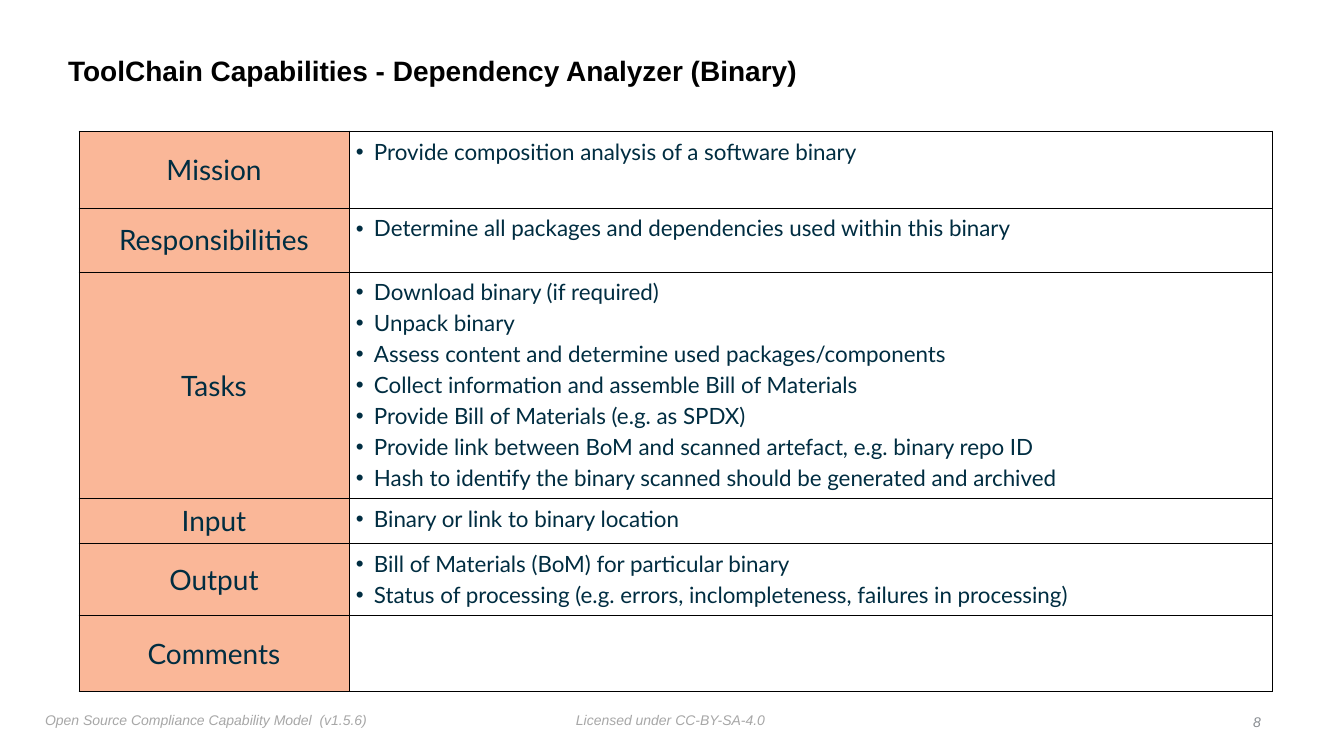
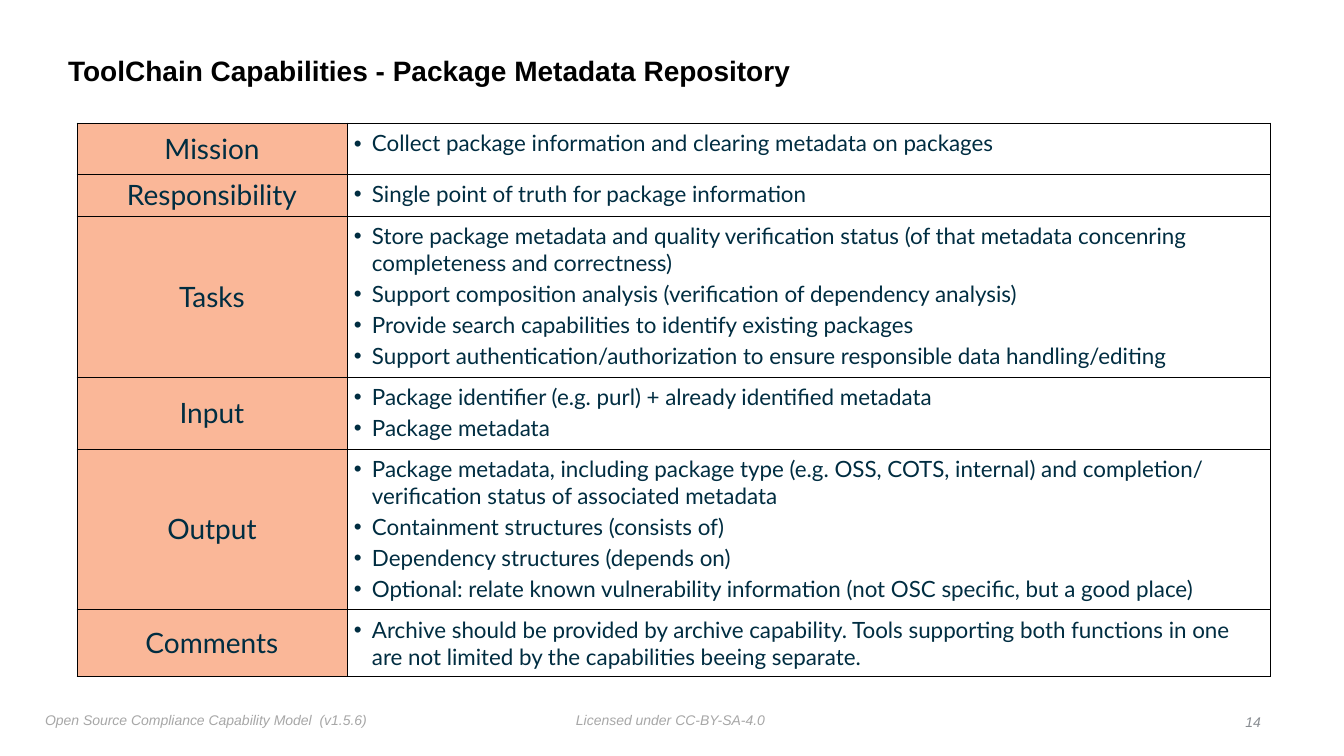
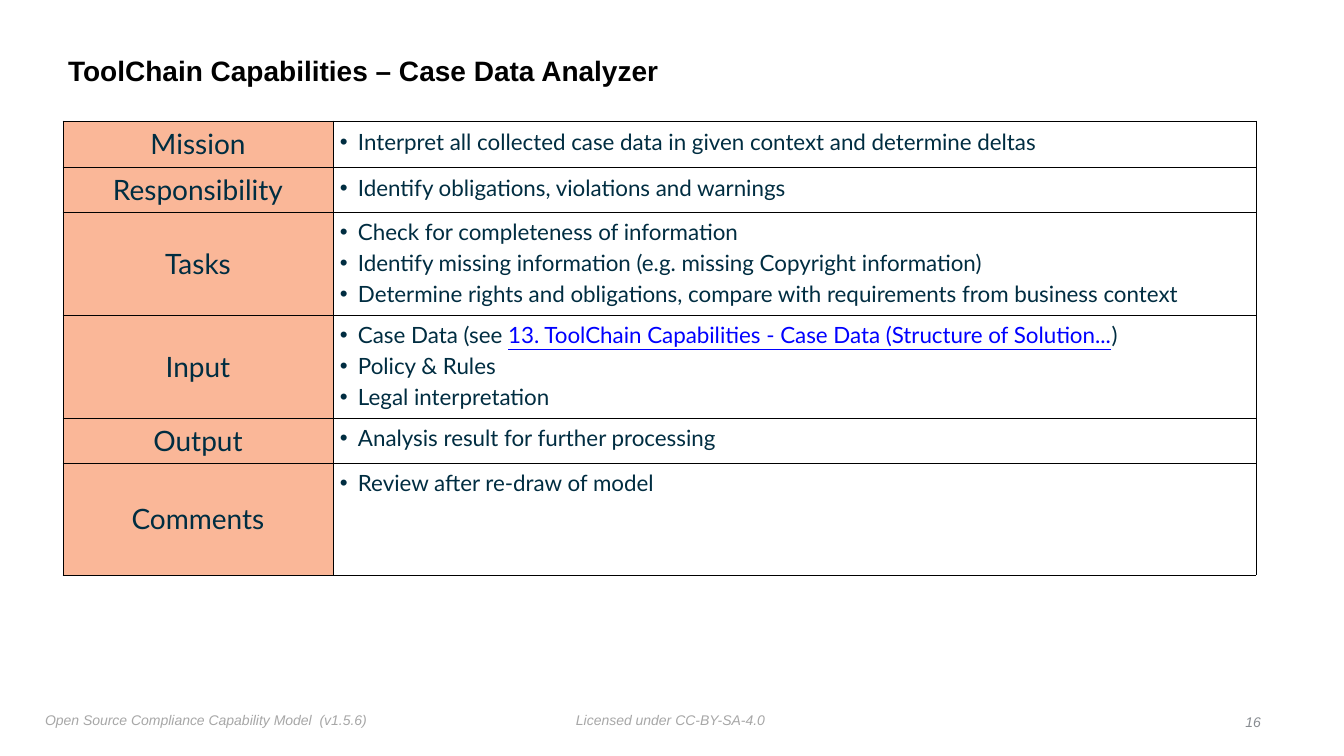
"""Build three capability slides, each a titled two-column table with a footer."""
from lxml import etree
from pptx import Presentation
from pptx.dml.color import RGBColor
from pptx.enum.text import MSO_ANCHOR, PP_ALIGN
from pptx.oxml.ns import qn
from pptx.util import Emu, Pt

PX = 914400 / 100.8
COLORS = {"title": "000000", "text": "002D41", "link": "0000FF", "label": "FAB798",
          "border": "000000", "footer": "A7A7A7", "number": "888C91"}
COLUMNS = (270, 923)
FOOTERS = [(571, 201, "Licensed under CC-BY-SA-4.0"),
           (40, 335, "Open Source Compliance Capability Model  (v1.5.6)")]

SLIDES = [
    ("ToolChain Capabilities - Dependency Analyzer (Binary)", "8", (79, 131), [
        ("Mission", 77, ["Provide composition analysis of a software binary"]),
        ("Responsibilities", 64, ["Determine all packages and dependencies used within this binary"]),
        ("Tasks", 226, [
            "Download binary (if required)",
            "Unpack binary",
            "Assess content and determine used packages/components",
            "Collect information and assemble Bill of Materials",
            "Provide Bill of Materials (e.g. as SPDX)",
            "Provide link between BoM and scanned artefact, e.g. binary repo ID",
            "Hash to identify the binary scanned should be generated and archived"]),
        ("Input", 45, ["Binary or link to binary location"]),
        ("Output", 72, [
            "Bill of Materials (BoM) for particular binary",
            "Status of processing (e.g. errors, inclompleteness, failures in processing)"]),
        ("Comments", 76, []),
    ]),
    ("ToolChain Capabilities - Package Metadata Repository", "14", (77, 123), [
        ("Mission", 51, ["Collect package information and clearing metadata on packages"]),
        ("Responsibility", 42, ["Single point of truth for package information"]),
        ("Tasks", 161, [
            "Store package metadata and quality verification status "
            "(of that metadata concenring completeness and correctness)",
            "Support composition analysis (verification of dependency analysis)",
            "Provide search capabilities to identify existing packages",
            "Support authentication/authorization to ensure responsible data handling/editing"]),
        ("Input", 72, [
            "Package identifier (e.g. purl) + already identified metadata",
            "Package metadata"]),
        ("Output", 160, [
            "Package metadata, including package type (e.g. OSS, COTS, internal) "
            "and completion/ verification status of associated metadata",
            "Containment structures (consists of)",
            "Dependency structures (depends on)",
            "Optional: relate known vulnerability information (not OSC specific, but a good place)"]),
        ("Comments", 67, [
            "Archive should be provided by archive capability. Tools supporting both "
            "functions in one are not limited by the capabilities beeing separate."]),
    ]),
    ("ToolChain Capabilities – Case Data Analyzer", "16", (63, 121), [
        ("Mission", 46, ["Interpret all collected case data in given context and determine deltas"]),
        ("Responsibility", 45, ["Identify obligations, violations and warnings"]),
        ("Tasks", 103, [
            "Check for completeness of information",
            "Identify missing information (e.g. missing Copyright information)",
            "Determine rights and obligations, compare with requirements from business context"]),
        ("Input", 103, [
            "Case Data (see |13. ToolChain Capabilities - Case Data (Structure of Solution...|)",
            "Policy & Rules",
            "Legal interpretation"]),
        ("Output", 45, ["Analysis result for further processing"]),
        ("Comments", 112, ["Review after re-draw of model"]),
    ]),
]


def px(*lengths):
    return [Emu(round(n * PX)) for n in lengths]


def add_run(p, text, size, color, font="Lato", **style):
    r = p.add_run()
    r.text = text
    r.font.size, r.font.name = Pt(size), font
    r.font.color.rgb = RGBColor.from_string(COLORS[color])
    for name, value in style.items():
        setattr(r.font, name, value)


prs = Presentation()
prs.slide_width, prs.slide_height = px(1344, 756)
layout = prs.slide_layouts[5]

for title, number, corner, rows in SLIDES:
    slide = prs.slides.add_slide(layout)
    sp = slide.shapes.title
    sp.left, sp.top, sp.width, sp.height = px(63, 39, 1084, 66)
    tf = sp.text_frame
    tf.margin_left, tf.margin_top, tf.margin_right, tf.margin_bottom = px(5, 5, 5, 5)
    tf.vertical_anchor = MSO_ANCHOR.MIDDLE
    p = tf.paragraphs[0]
    p.alignment, p.line_spacing = PP_ALIGN.LEFT, 0.9
    add_run(p, title, 20, "title", "Arial", bold=True)

    height = sum(row[1] for row in rows)
    table = slide.shapes.add_table(len(rows), 2, *px(*corner, sum(COLUMNS), height)).table
    table.first_row = table.horz_banding = False
    for column, width in zip(table.columns, px(*COLUMNS)):
        column.width = width

    for i, (label, row_height, bullets) in enumerate(rows):
        table.rows[i].height = px(row_height)[0]
        label_cell, text_cell = table.cell(i, 0), table.cell(i, 1)
        for cell, inset in ((label_cell, 0), (text_cell, 7)):
            cell.margin_left, cell.margin_top, cell.margin_right, cell.margin_bottom = px(*[inset] * 4)
            tcPr = cell._tc.get_or_add_tcPr()
            for side in ("lnL", "lnR", "lnT", "lnB"):
                ln = etree.SubElement(tcPr, qn(f"a:{side}"), w=str(Pt(0.5)))
                line_fill = etree.SubElement(ln, qn("a:solidFill"))
                etree.SubElement(line_fill, qn("a:srgbClr"), val=COLORS["border"])
        label_cell.fill.solid()
        label_cell.fill.fore_color.rgb = RGBColor.from_string(COLORS["label"])
        label_cell.vertical_anchor = MSO_ANCHOR.MIDDLE
        p = label_cell.text_frame.paragraphs[0]
        p.alignment = PP_ALIGN.CENTER
        add_run(p, label, 20, "text")

        text_cell.fill.background()
        tf = text_cell.text_frame
        for j, bullet in enumerate(bullets):
            p = tf.add_paragraph() if j else tf.paragraphs[0]
            p.space_before = Pt(3)
            pPr = p._p.get_or_add_pPr()
            indent = px(18)[0]
            pPr.set("marL", str(indent))
            pPr.set("indent", str(-indent))
            etree.SubElement(pPr, qn("a:buFont"), typeface="Arial")
            etree.SubElement(pPr, qn("a:buChar"), char="•")
            for k, part in enumerate(bullet.split("|")):
                if k % 2:
                    add_run(p, part, 16, "link", underline=True)
                else:
                    add_run(p, part, 16, "text")

    number_width = 11 + 8 * len(number)
    notes = [(left, 707, width, text, "footer", PP_ALIGN.LEFT) for left, width, text in FOOTERS]
    notes.append((1266 - number_width, 709, number_width, number, "number", PP_ALIGN.RIGHT))
    for left, top, width, text, color, align in notes:
        tf = slide.shapes.add_textbox(*px(left, top, width, 25)).text_frame
        tf.word_wrap = False
        tf.margin_left, tf.margin_top, tf.margin_right, tf.margin_bottom = px(5, 5, 5, 5)
        p = tf.paragraphs[0]
        p.alignment = align
        add_run(p, text, 10, color, "Arial", italic=True)

prs.save("out.pptx")
